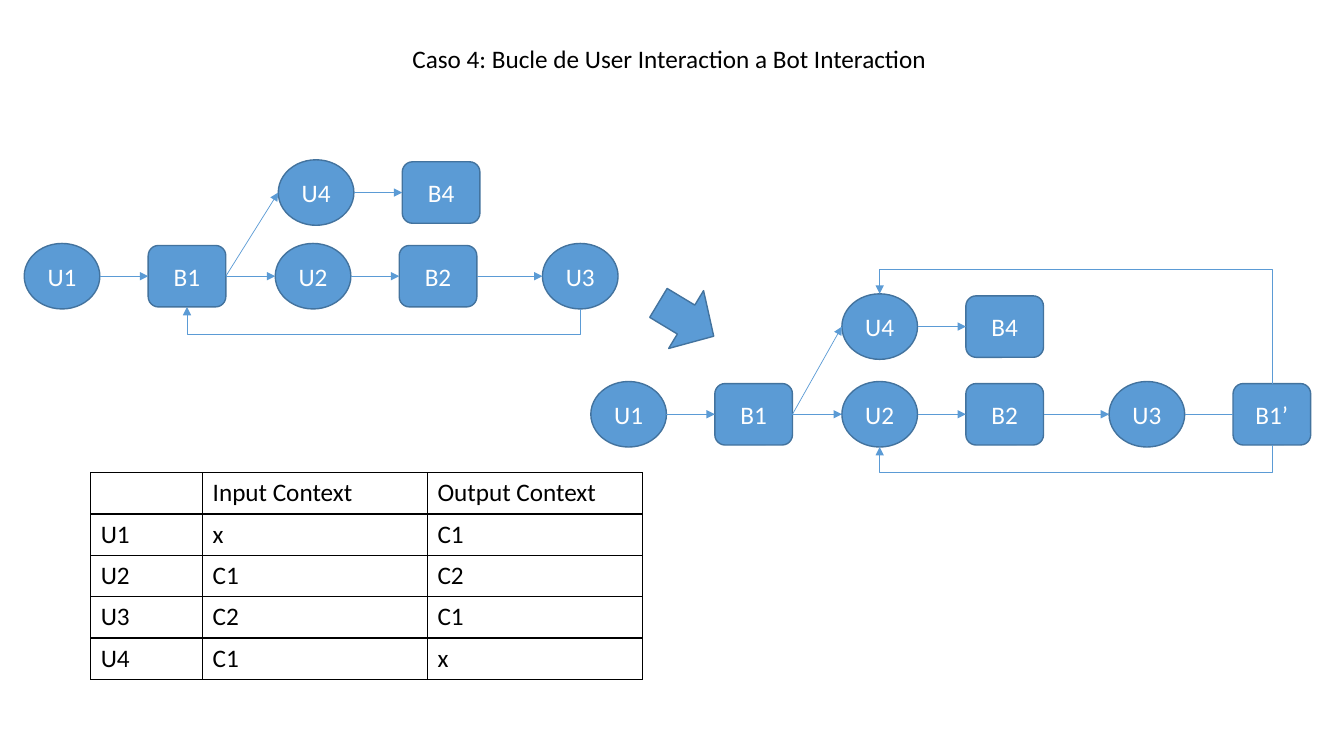
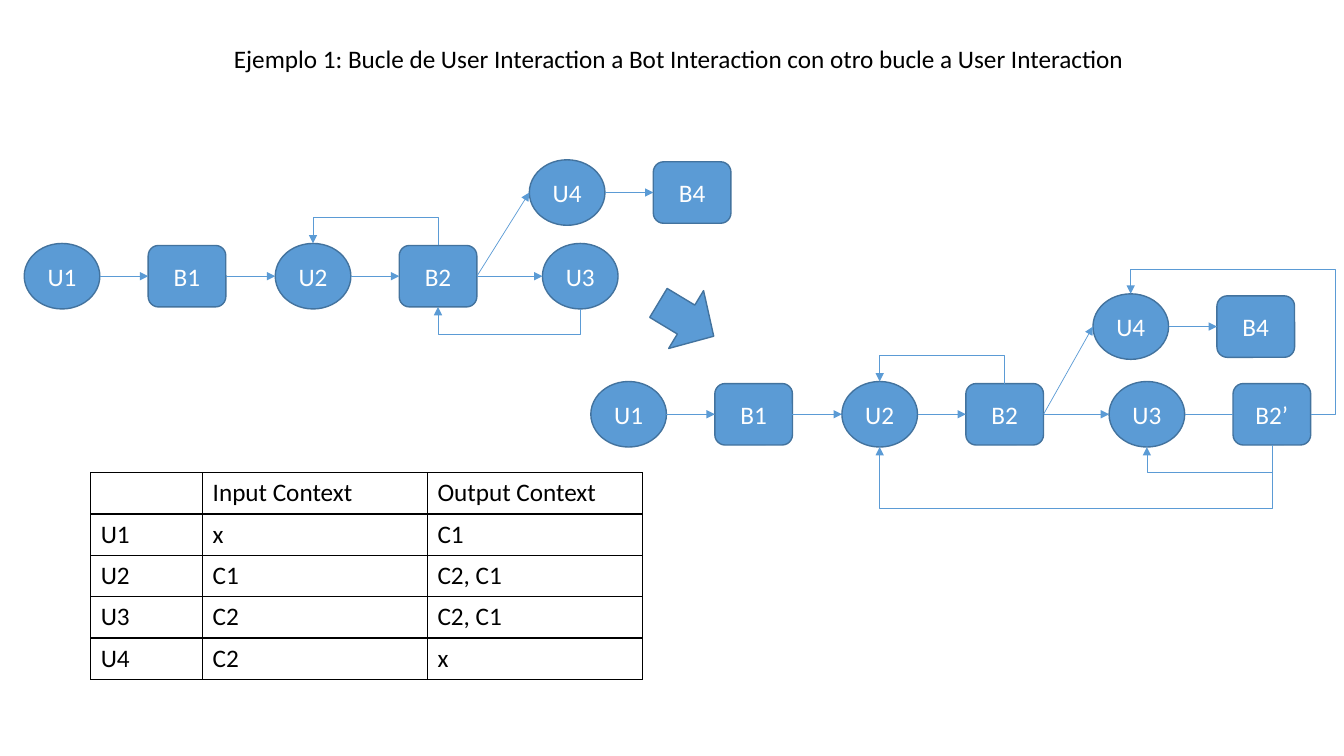
from lxml import etree
from pptx import Presentation
from pptx.dml.color import RGBColor
from pptx.enum import shapes, text
from pptx.oxml.ns import qn
from pptx.util import Inches, Pt

BLUE = RGBColor(0x5B, 0x9B, 0xD5)
EDGE = RGBColor(0x43, 0x73, 0x9E)
WHITE = RGBColor(0xFF, 0xFF, 0xFF)
BLACK = RGBColor(0x00, 0x00, 0x00)
FONT = "Calibri"

OVAL = (0.75, 0.65)   # user turn
BOX = (0.77, 0.61)    # bot turn
COLUMNS = (0, 1.24, 2.49, 3.73, 5.14, 6.38)  # node centres from the first
PAIR_GAP = 1.24       # U4 to B4
TOP, LEFT, BOTTOM, RIGHT = range(4)


def style_text(tf, color):
    for p in tf.paragraphs:
        for r in p.runs:
            r.font.name = FONT
            r.font.size = Pt(18)
            r.font.color.rgb = color


def add_title(s, label, left, width):
    sp = s.shapes.title
    sp.left, sp.top = Inches(left), Inches(0.38)
    sp.width, sp.height = Inches(width), Inches(0.4)
    tf = sp.text_frame
    tf.text = label
    tf.word_wrap = True
    tf.auto_size = text.MSO_AUTO_SIZE.NONE
    tf.vertical_anchor = text.MSO_ANCHOR.TOP
    tf.paragraphs[0].alignment = text.PP_ALIGN.LEFT
    style_text(tf, BLACK)


def add_blue_shape(s, kind, left, top, width, height):
    sp = s.shapes.add_shape(kind, Inches(left), Inches(top),
                            Inches(width), Inches(height))
    sp.shadow.inherit = False
    sp.fill.solid()
    sp.fill.fore_color.rgb = BLUE
    sp.line.color.rgb = EDGE
    sp.line.width = Pt(1)
    return sp


def add_node(s, name, x, y):
    """Oval for a user turn, rounded box for a bot turn, centred on x, y."""
    user = name.startswith("U")
    kind = shapes.MSO_SHAPE.OVAL if user else shapes.MSO_SHAPE.ROUNDED_RECTANGLE
    w, h = OVAL if user else BOX
    sp = add_blue_shape(s, kind, x - w / 2, y - h / 2, w, h)
    tf = sp.text_frame
    tf.text = name
    tf.word_wrap = False
    tf.vertical_anchor = text.MSO_ANCHOR.MIDDLE
    tf.paragraphs[0].alignment = text.PP_ALIGN.CENTER
    style_text(tf, WHITE)
    return sp


def join(s, kind, a, a_side, b, b_side, arrow=True):
    c = s.shapes.add_connector(kind, 0, 0, 0, 0)
    c.begin_connect(a, a_side)
    c.end_connect(b, b_side)
    # an oval has eight connection sites, so its sides are every second one
    for sp, side, tag in ((a, a_side, "a:stCxn"), (b, b_side, "a:endCxn")):
        if sp.auto_shape_type == shapes.MSO_SHAPE.OVAL:
            next(c._element.iter(qn(tag))).set("idx", str(2 * side))
    c.line.color.rgb = BLUE
    c.line.width = Pt(0.5)
    sp_pr = c._element.spPr
    if arrow:
        etree.SubElement(sp_pr.find(qn("a:ln")), qn("a:tailEnd"), type="triangle")
    etree.SubElement(sp_pr, qn("a:effectLst"))
    return c


def set_bends(c, preset, *bends):
    geom = c._element.spPr.find(qn("a:prstGeom"))
    geom.set("prst", preset)
    for old in geom.findall(qn("a:avLst")):
        geom.remove(old)
    av = etree.SubElement(geom, qn("a:avLst"))
    for i, bend in enumerate(bends, 1):
        etree.SubElement(av, qn("a:gd"), name=f"adj{i}",
                         fmla=f"val {round(bend * 100000)}")


def add_loop(s, a, b, via, out=0):
    """Run back from a to b along height via; out leaves a sideways first."""
    side = BOTTOM if via > a.top else TOP
    c = join(s, shapes.MSO_CONNECTOR.ELBOW, a, RIGHT if out else side, b, side)
    x1, y1, x2, y2 = c.begin_x, c.begin_y, c.end_x, c.end_y
    bend = (via - y1) / (y2 - y1)
    if out:
        set_bends(c, "bentConnector4", -out / (x1 - x2), bend)
        return
    # a vertical start is a quarter turn of the preset
    w, h = abs(y2 - y1), x1 - x2
    c.left, c.top = (x1 + x2 - w) // 2, (y1 + y2 - h) // 2
    c.width, c.height = w, h
    xfrm = c._element.spPr.find(qn("a:xfrm"))
    upward = side == TOP
    xfrm.set("rot", str((270 if upward else 90) * 60000))
    xfrm.set("flipH", str(int(not upward and y2 < y1)))
    xfrm.set("flipV", str(int(upward)))
    set_bends(c, "bentConnector3", bend)


def add_flow(s, x, y, chain, fork, branch, loops):
    """Chain of turns from centre x, y, with a U4-B4 branch and return loops."""
    nodes = {n: add_node(s, n, x + dx, y) for n, dx in zip(chain, COLUMNS)}
    bx, by = x + branch[0], y + branch[1]
    nodes["U4"] = add_node(s, "U4", bx, by)
    nodes["B4"] = add_node(s, "B4", bx + PAIR_GAP, by)
    for a, b in [*zip(chain, chain[1:]), (fork, "U4"), ("U4", "B4")]:
        join(s, shapes.MSO_CONNECTOR.STRAIGHT, nodes[a], RIGHT, nodes[b], LEFT,
             arrow=not b.endswith("’"))
    for a, b, lift, *out in loops:
        add_loop(s, nodes[a], nodes[b], Inches(y + lift), *map(Inches, out))


def add_context_table(s, left, top, rows):
    widths, row_height = (1.11, 2.23, 2.13), 0.41
    frame = s.shapes.add_table(len(rows), len(widths), Inches(left), Inches(top),
                               Inches(sum(widths)), Inches(row_height * len(rows)))
    tbl = frame.table
    tbl.first_row = tbl.horz_banding = False
    for col, w in zip(tbl.columns, widths):
        col.width = Inches(w)
    for i, row in enumerate(rows):
        tbl.rows[i].height = Inches(row_height)
        for j, value in enumerate(row):
            cell = tbl.cell(i, j)
            cell.text = value
            style_text(cell.text_frame, BLACK)
            tc_pr = cell._tc.get_or_add_tcPr()
            for edge in ("a:lnL", "a:lnR", "a:lnT", "a:lnB"):
                ln = etree.SubElement(tc_pr, qn(edge), w=str(Pt(1)))
                fill = etree.SubElement(ln, qn("a:solidFill"))
                etree.SubElement(fill, qn("a:srgbClr"), val=str(BLACK))
            cell.fill.background()


def add_case(prs, title, before, after, contexts):
    s = prs.slides.add_slide(prs.slide_layouts[5])
    add_title(s, *title)
    add_flow(s, 0.615, 2.74, *before)
    arrow = add_blue_shape(s, shapes.MSO_SHAPE.DOWN_ARROW, 6.47, 2.85, 0.67, 0.64)
    arrow.rotation = 301.1
    add_flow(s, 6.235, 4.11, *after)
    header = ("", "Input Context", "Output Context")
    add_context_table(s, 0.9, 4.69, [header, *contexts])


def main():
    prs = Presentation()
    prs.slide_width, prs.slide_height = Inches(13.33), Inches(7.5)
    chain = ["U1", "B1", "U2", "B2", "U3"]

    # Loop from a user turn to a bot turn
    add_case(
        prs,
        ("Caso 4: Bucle de User Interaction a Bot Interaction", 3.99, 5.36),
        (chain, "B1", (2.52, -0.83), [("U3", "B1", 0.58)]),
        (chain + ["B1’"], "B1", (2.49, -0.87),
         [("B1’", "U2", 0.58), ("B1’", "U4", -1.44)]),
        [("U1", "x", "C1"), ("U2", "C1", "C2"),
         ("U3", "C2", "C1"), ("U4", "C1", "x")])

    # The same loop with a second one to a user turn
    add_case(
        prs,
        ("Ejemplo 1: Bucle de User Interaction a Bot Interaction "
         "con otro bucle a User Interaction", 2.22, 9.19),
        (chain, "B2", (5.01, -0.83),
         [("U3", "B2", 0.58), ("B2", "U2", -0.58)]),
        (chain + ["B2’"], "B2", (4.98, -0.87),
         [("B2’", "U3", 0.58), ("B2’", "U4", -1.44, 0.25),
          ("B2", "U2", -0.58), ("B2’", "U2", 0.93)]),
        [("U1", "x", "C1"), ("U2", "C1", "C2, C1"),
         ("U3", "C2", "C2, C1"), ("U4", "C2", "x")])

    prs.save("out.pptx")


if __name__ == "__main__":
    main()
